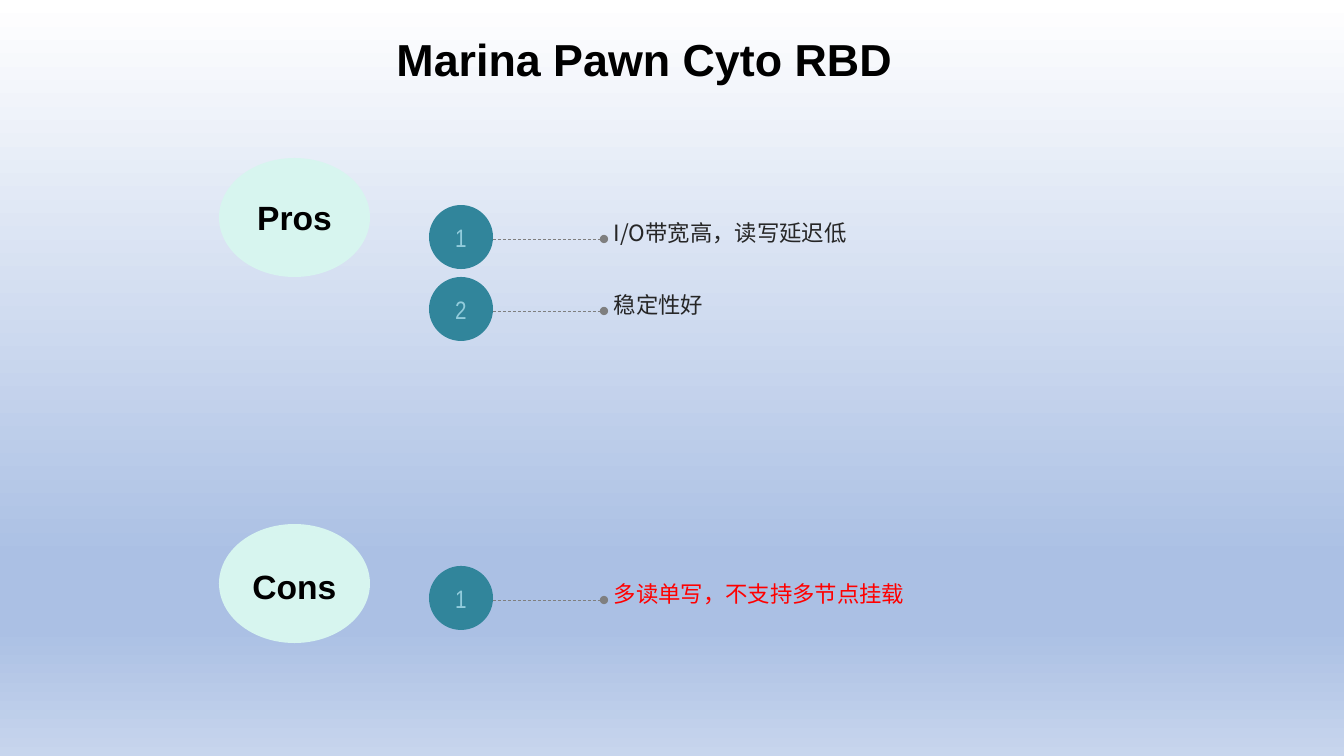
from dataclasses import dataclass

from lxml import etree
from pptx import Presentation
from pptx import util as u
from pptx.dml.color import RGBColor
from pptx.enum import dml, shapes, text
from pptx.oxml import ns

EMU_PER_PX = 914400 / 100.8


@dataclass(frozen=True)
class Theme:
    """Colours, fonts and type sizes of the slide."""
    ink: str = "000000"
    body: str = "262626"
    warning: str = "FF0000"
    group: str = "D7F5EF"
    badge: str = "31859B"
    badge_ink: str = "92CCDC"
    leader: str = "7F7F7F"
    backdrop: tuple = ((0, "FFFFFF"), (74, "ABC0E4"), (83, "ABC0E4"), (100, "C7D5ED"))
    heading_font: str = "Arial"
    badge_font: str = "Arial Narrow"
    body_font: str = "Noto Sans CJK SC"
    title_size: int = 32
    group_size: int = 24
    badge_size: int = 18
    body_size: int = 16


THEME = Theme()

# Group heading, top of its ellipse, extra top inset, first row top, text colour, points
GROUPS = (
    ("Pros", 158, 0, 205, THEME.body, ("I/O带宽高，读写延迟低", "稳定性好")),
    ("Cons", 524, 6, 566, THEME.warning, ("多读单写，不支持多节点挂载",)),
)
ROW_PITCH = 72
GROUP_LEFT, GROUP_WIDTH, GROUP_HEIGHT = 219, 151, 119
BADGE_LEFT, BADGE_SIZE = 429, 64
LABEL_LEFT, LABEL_WIDTH, LABEL_HEIGHT = 604, 580, 24


def px(*lengths):
    """Turn pixel lengths into a list of EMU."""
    return [u.Emu(round(length * EMU_PER_PX)) for length in lengths]


def write(frame, wording, font, size, color, bold=False, align=text.PP_ALIGN.CENTER):
    """Put one formatted run into a text frame."""
    paragraph = frame.paragraphs[0]
    paragraph.alignment = align
    run = paragraph.add_run()
    run.text = wording
    run.font.name, run.font.size, run.font.bold = font, u.Pt(size), bold
    run.font.color.rgb = RGBColor.from_string(color)
    east_asian = etree.SubElement(run.font._element, ns.qn("a:ea"))
    east_asian.set("typeface", font)


def paint_backdrop(slide):
    """Fill the background with the vertical gradient."""
    slide.background.fill.gradient()
    gradient = slide.element.find(".//" + ns.qn("a:gradFill"))
    for child in list(gradient):
        gradient.remove(child)
    stops = etree.SubElement(gradient, ns.qn("a:gsLst"))
    for percent, color in THEME.backdrop:
        stop = etree.SubElement(stops, ns.qn("a:gs"), pos=str(percent * 1000))
        etree.SubElement(stop, ns.qn("a:srgbClr"), val=color)
    etree.SubElement(gradient, ns.qn("a:lin"), ang="5400000", scaled="0")


def add_title(slide, wording):
    """Place and format the title placeholder."""
    title = slide.shapes.title
    title.left, title.top, title.width, title.height = px(219, 27, 851, 119)
    frame = title.text_frame
    frame.vertical_anchor = text.MSO_ANCHOR.TOP
    frame.auto_size = text.MSO_AUTO_SIZE.NONE
    write(frame, wording, THEME.heading_font, THEME.title_size, THEME.ink, True)


def add_ellipse(slide, box, fill):
    """Add a plain ellipse and return its text frame."""
    ellipse = slide.shapes.add_shape(shapes.MSO_SHAPE.OVAL, *px(*box))
    ellipse.shadow.inherit = False
    ellipse.fill.solid()
    ellipse.fill.fore_color.rgb = RGBColor.from_string(fill)
    ellipse.line.fill.background()
    frame = ellipse.text_frame
    frame.vertical_anchor = text.MSO_ANCHOR.MIDDLE
    return frame


def add_leader(slide, left, right, y):
    """Add a dashed line that ends in a dot."""
    leader = slide.shapes.add_connector(shapes.MSO_CONNECTOR.STRAIGHT, *px(left, y, right, y))
    leader.line.width = u.Pt(0.5)
    leader.line.color.rgb = RGBColor.from_string(THEME.leader)
    leader.line.dash_style = dml.MSO_LINE.DASH
    etree.SubElement(leader.line._get_or_add_ln(), ns.qn("a:tailEnd"), type="oval")
    etree.SubElement(leader._element.spPr, ns.qn("a:effectLst"))


def add_label(slide, top, wording, color):
    """Add the wording of one point."""
    label = slide.shapes.add_textbox(*px(LABEL_LEFT, top, LABEL_WIDTH, LABEL_HEIGHT))
    frame = label.text_frame
    frame.word_wrap = True
    frame.margin_top = frame.margin_bottom = 0
    write(frame, wording, THEME.body_font, THEME.body_size, color, align=text.PP_ALIGN.LEFT)


def add_point(slide, number, top, wording, color):
    """Add a numbered badge, its leader line and its label."""
    badge = add_ellipse(slide, (BADGE_LEFT, top, BADGE_SIZE, BADGE_SIZE), THEME.badge)
    write(badge, str(number), THEME.badge_font, THEME.badge_size, THEME.badge_ink)
    add_leader(slide, BADGE_LEFT + BADGE_SIZE, LABEL_LEFT, top + 34)
    add_label(slide, top + 14, wording, color)


def add_group(slide, heading, top, inset, first_row, color, points):
    """Add a group ellipse and its numbered points."""
    frame = add_ellipse(slide, (GROUP_LEFT, top, GROUP_WIDTH, GROUP_HEIGHT), THEME.group)
    frame.margin_top += px(inset)[0]
    write(frame, heading, THEME.heading_font, THEME.group_size, THEME.ink, True)
    for index, wording in enumerate(points):
        add_point(slide, index + 1, first_row + index * ROW_PITCH, wording, color)


def main():
    """Build and save the slide."""
    deck = Presentation()
    deck.slide_width, deck.slide_height = px(1344, 756)
    slide = deck.slides.add_slide(deck.slide_layouts.get_by_name("Title Only"))
    paint_backdrop(slide)
    add_title(slide, "Marina Pawn Cyto RBD")
    for group in GROUPS:
        add_group(slide, *group)
    deck.save("out.pptx")


main()
